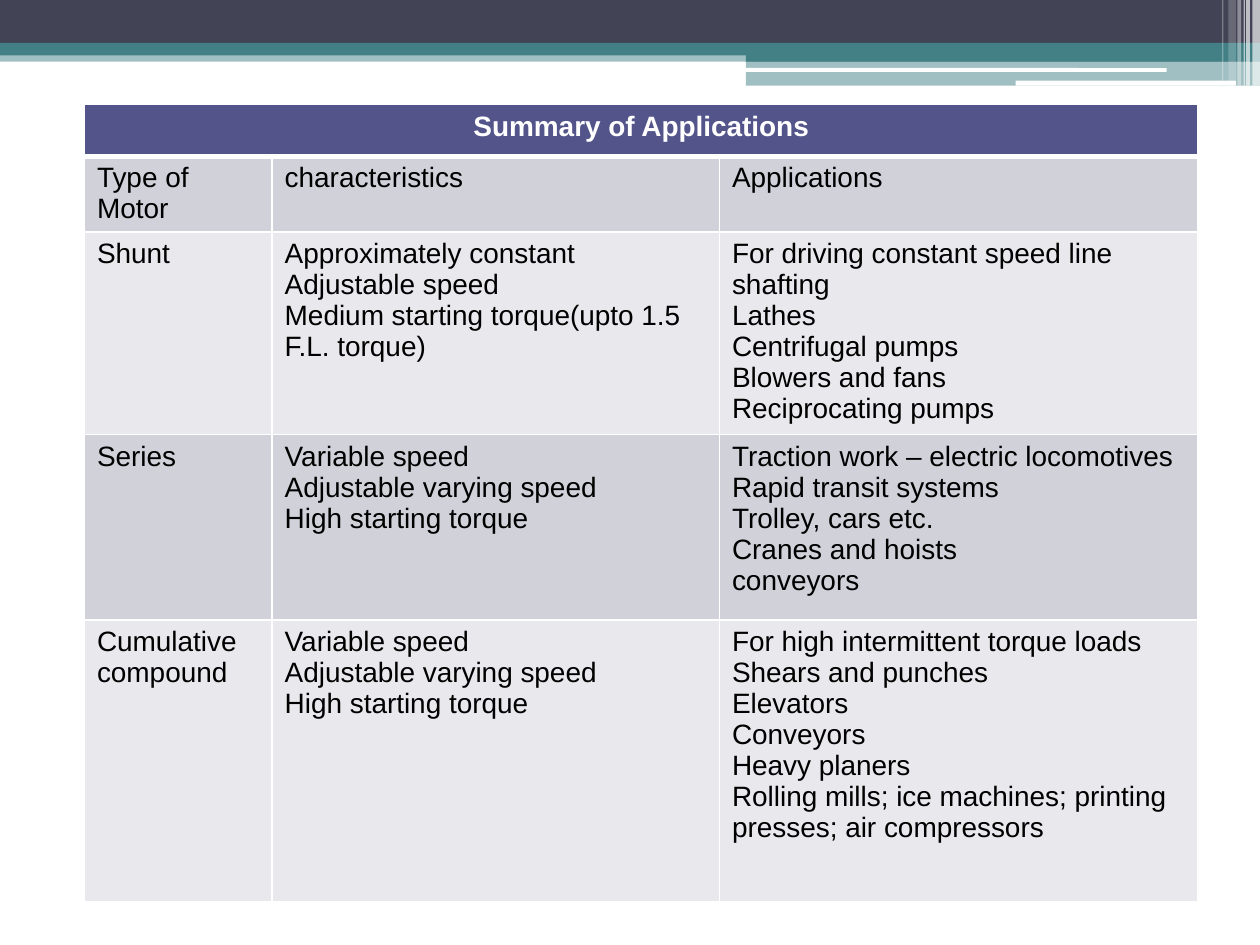
from lxml.etree import SubElement
from pptx import Presentation
from pptx.dml.color import RGBColor
from pptx.enum.shapes import MSO_SHAPE
from pptx.enum.text import PP_ALIGN
from pptx.oxml.ns import qn
from pptx.util import Inches, Pt

COLORS = {
    "navy": "424456", "teal": "438086", "white": "FFFFFF", "black": "000000",
    "header": "53548A", "dark_band": "D1D1DA", "light_band": "E9E9ED",
}

COLUMN_WIDTHS = [1.49, 3.55, 3.8]
ROW_HEIGHTS = [0.41, 0.6, 1.61, 1.47, 2.24]
VARIABLE_SPEED = "Variable speed\nAdjustable varying speed\nHigh starting torque"
ROWS = [
    ["Summary of Applications"],
    ["Type of Motor", "characteristics", "Applications"],
    ["Shunt",
     "Approximately constant\nAdjustable speed\n"
     "Medium starting torque(upto 1.5 F.L. torque)",
     "For driving constant speed line shafting\nLathes\nCentrifugal pumps\n"
     "Blowers and fans\nReciprocating pumps"],
    ["Series", VARIABLE_SPEED,
     "Traction work – electric locomotives\nRapid transit systems\n"
     "Trolley, cars etc.\nCranes and hoists\nconveyors"],
    ["Cumulative compound", VARIABLE_SPEED,
     "For high intermittent torque loads\nShears and punches\nElevators\n"
     "Conveyors\nHeavy planers\n"
     "Rolling mills; ice machines; printing presses; air compressors"],
]


class SlideBuilder:
    font_name = "Arial"
    font_size = Pt(16)

    def __init__(self, slide):
        self.slide = slide

    def bar(self, left, top, width, height, color, opacity=100, rounded=False):
        kind = MSO_SHAPE.ROUNDED_RECTANGLE if rounded else MSO_SHAPE.RECTANGLE
        shape = self.slide.shapes.add_shape(
            kind, Inches(left), Inches(top), Inches(width), Inches(height))
        shape.shadow.inherit = False
        shape.line.fill.background()
        shape.fill.solid()
        shape.fill.fore_color.rgb = RGBColor.from_string(COLORS[color])
        if opacity < 100:
            color_element = shape.fill._xPr.find(".//" + qn("a:srgbClr"))
            SubElement(color_element, qn("a:alpha"), val=str(opacity * 1000))

    def table(self, left, top, column_widths, row_heights, rows):
        table = self.slide.shapes.add_table(
            len(row_heights), len(column_widths), Inches(left), Inches(top),
            Inches(sum(column_widths)), Inches(sum(row_heights))).table
        for column, width in zip(table.columns, column_widths):
            column.width = Inches(width)
        for row, height in zip(table.rows, row_heights):
            row.height = Inches(height)
        table.cell(0, 0).merge(table.cell(0, len(column_widths) - 1))
        for row_index in range(len(row_heights)):
            for column_index in range(len(column_widths)):
                cell = table.cell(row_index, column_index)
                self.style_cell(cell, row_index)
                if not cell.is_spanned:
                    self.write_cell(cell, rows[row_index][column_index], row_index == 0)

    def style_cell(self, cell, row_index):
        # Borders go before the fill in the cell properties
        properties = cell._tc.get_or_add_tcPr()
        for side in "LRTB":
            heavy = (row_index, side) in ((0, "B"), (1, "T"))
            line = SubElement(properties, qn(f"a:ln{side}"), w=str(Pt(3 if heavy else 1)))
            fill = SubElement(line, qn("a:solidFill"))
            SubElement(fill, qn("a:srgbClr"), val=COLORS["white"])
        band = "dark_band" if row_index % 2 else "light_band"
        cell.fill.solid()
        cell.fill.fore_color.rgb = RGBColor.from_string(
            COLORS[band if row_index else "header"])

    def write_cell(self, cell, text, is_header):
        cell.text = text
        for paragraph in cell.text_frame.paragraphs:
            paragraph.alignment = PP_ALIGN.CENTER if is_header else PP_ALIGN.LEFT
            font = paragraph.font
            font.name = self.font_name
            font.size = self.font_size
            font.bold = is_header
            font.color.rgb = RGBColor.from_string(
                COLORS["white" if is_header else "black"])


def main():
    presentation = Presentation()
    presentation.slide_width = Inches(10)
    presentation.slide_height = Inches(7.5)
    builder = SlideBuilder(presentation.slides.add_slide(presentation.slide_layouts[6]))

    # Banner across the top
    builder.bar(0, 0.4, 10, 0.09, "teal", 50)
    builder.bar(0, 0, 10, 0.34, "navy")
    builder.bar(0, 0.34, 10, 0.1, "teal")

    # Stepped bands on the right, with white strips
    builder.bar(5.92, 0.39, 4.08, 0.1, "teal")
    builder.bar(5.92, 0.48, 4.08, 0.2, "teal", 50)
    builder.bar(5.91, 0.54, 3.35, 0.03, "white", rounded=True)
    builder.bar(8.06, 0.64, 1.75, 0.04, "white", rounded=True)

    # Translucent vertical stripes in the corner
    for left, width, height, opacity in [
            (9.94, 0.06, 0.68, 65), (9.89, 0.03, 0.68, 65), (9.87, 0.01, 0.68, 60),
            (9.82, 0.03, 0.68, 40), (9.75, 0.06, 0.64, 20), (9.7, 0.01, 0.64, 30)]:
        builder.bar(left, 0, width, height, "white", opacity)

    # Motor applications table
    builder.table(0.67, 0.83, COLUMN_WIDTHS, ROW_HEIGHTS, ROWS)

    presentation.save("out.pptx")


if __name__ == "__main__":
    main()
